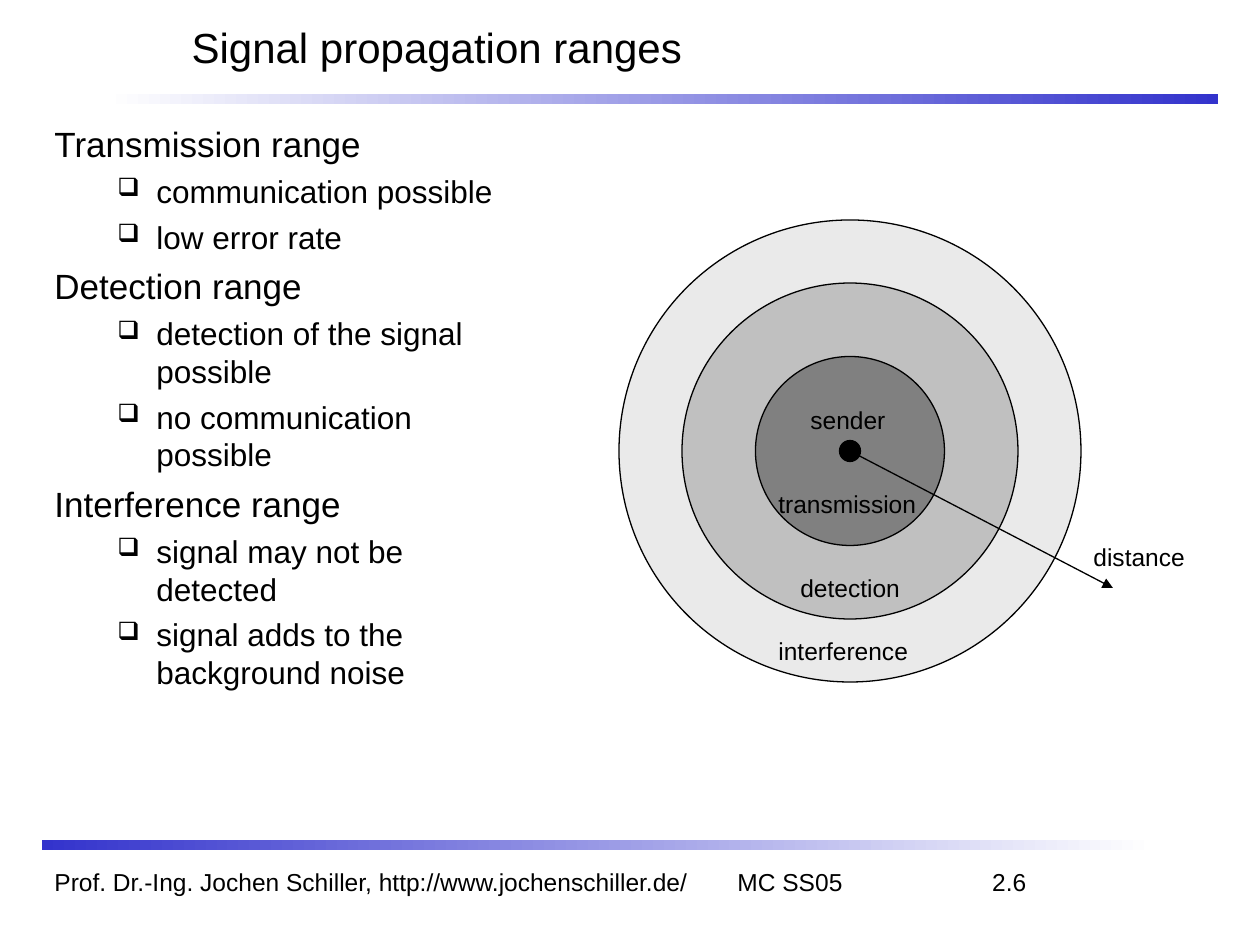
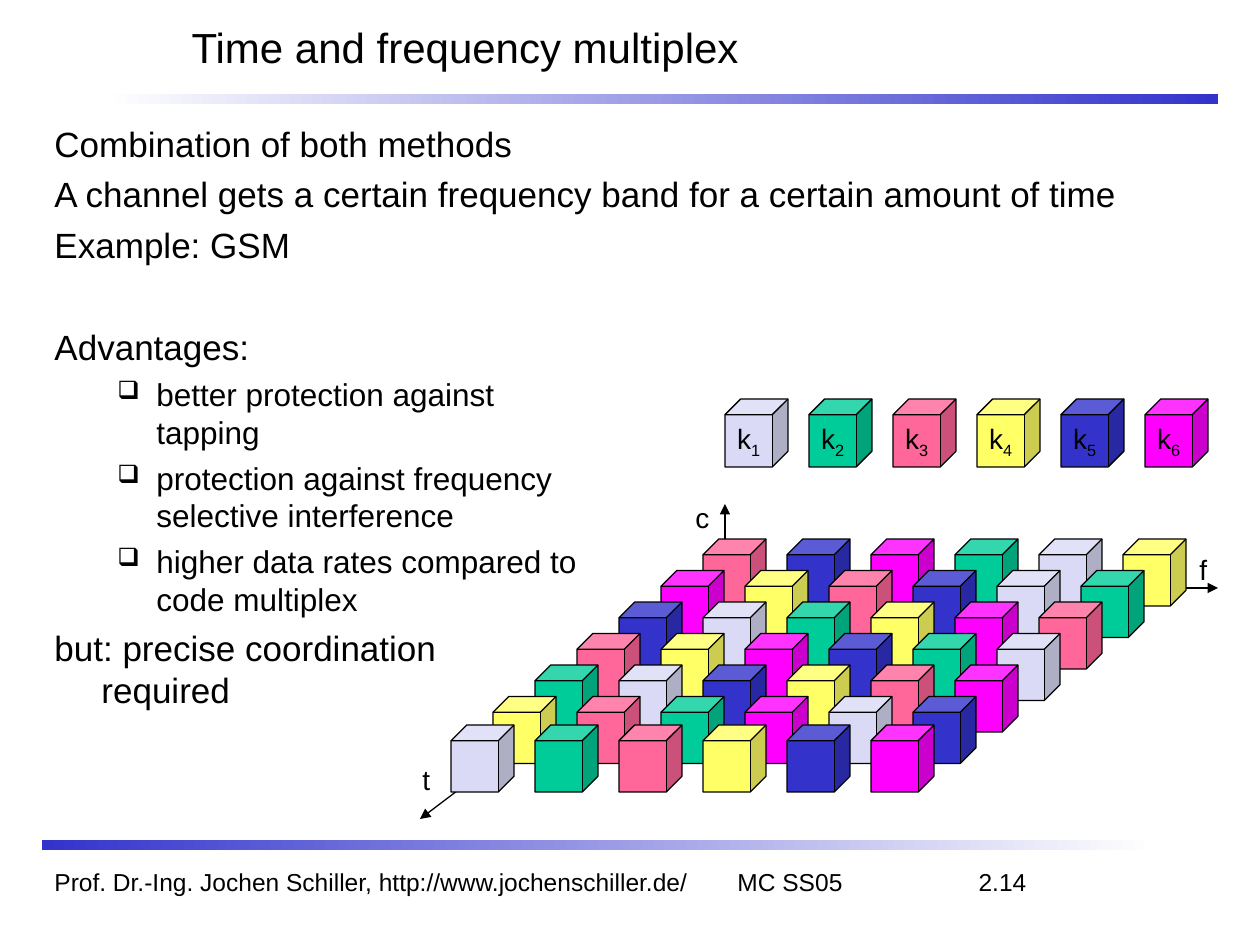
from lxml import etree
from pptx import Presentation
from pptx import util as u
from pptx.dml.color import RGBColor
from pptx.enum import shapes, text
from pptx.oxml.ns import qn

FONT = "Arial"
BLACK, WHITE, BLUE = "000000", "FFFFFF", "3333CC"
PX_PER_INCH = 126

FOOTER = "Prof. Dr.-Ing. Jochen Schiller, http://www.jochenschiller.de/\tMC SS05\t"
FOOTER_TABS = [(683, "l"), (972, "r")]
# left, top, colour at the left end, colour at the right end
BANDS = [(105, 94, WHITE, BLUE), (42, 840, BLUE, WHITE)]

# Body lines are (level, text) with an optional space before in points
RANGES = [
    (0, "Transmission range"),
    (1, "communication possible"),
    (1, "low error rate"),
    (0, "Detection range"),
    (1, "detection of the signal\vpossible"),
    (1, "no communication\vpossible"),
    (0, "Interference range"),
    (1, "signal may not be\vdetected"),
    (1, "signal adds to the\vbackground noise"),
]
MULTIPLEX = [
    (0, "Combination of both methods"),
    (0, "A channel gets a certain frequency band for a certain amount of time"),
    (0, "Example: GSM"),
    (0, "Advantages:", 34),
    (1, "better protection against\vtapping"),
    (1, "protection against frequency\vselective interference"),
    (1, "higher data rates compared to\vcode multiplex"),
    (0, "but: precise coordination\vrequired"),
]
# size, space before, left margin px, first-line indent px
LEVELS = [(20, 5, 47, -47), (18, 4.5, 102, -39)]

SENDER = (850, 451)
CIRCLES = [(462, "EAEAEA"), (336, "C0C0C0"), (189, "808080"), (21, BLACK)]
DISTANCE_TIP = (1113, 588)
RANGE_LABELS = [
    ("distance", 1081, 536, 118),
    ("sender", 798, 399, 100),
    ("transmission", 766, 483, 163),
    ("detection", 788, 567, 125),
    ("interference", 766, 630, 155),
]

CHANNEL_COLOURS = ["DADAF6", "00CC99", "FF6699", "FFFF66", BLUE, "FF00FF"]
# Channel number per frequency, one string per time slot, from back to front
TIME_SLOTS = ["356214", "643512", "512463", "346521", "215436", "432615", "123456"]
AXIS_ORIGIN = (725, 588)
AXIS_TIPS = [(1218, 588), (420, 819), (725, 504)]
AXIS_LABELS = [("f", 1187, 546, 33), ("t", 410, 756, 33), ("c", 683, 494, 39)]
CUBE_WIDTH, CUBE_PITCH = 63, 84


def px(value):
    return u.Emu(round(value * 914400 / PX_PER_INCH))


def colour(value):
    return RGBColor.from_string(value)


def style_runs(paragraph, size):
    for run in paragraph.runs:
        run.font.name = FONT
        run.font.size = u.Pt(size)
        run.font.color.rgb = colour(BLACK)


def add_child(parent, tag, **attributes):
    return etree.SubElement(parent, qn(tag), attributes)


def add_text(slide, content, left, top, width, height, size):
    box = slide.shapes.add_textbox(px(left), px(top), px(width), px(height))
    box.text_frame.text = content
    style_runs(box.text_frame.paragraphs[0], size)
    return box.text_frame


def add_label(slide, content, left, top, width, height, size):
    """Add one line of text in a box that grows with it and never wraps."""
    frame = add_text(slide, content, left, top, width, height, size)
    frame.word_wrap = False
    frame.auto_size = text.MSO_AUTO_SIZE.SHAPE_TO_FIT_TEXT


def add_solid(slide, kind, left, top, width, height, fill):
    shape = slide.shapes.add_shape(kind, px(left), px(top), px(width), px(height))
    shape.shadow.inherit = False
    shape.fill.solid()
    shape.fill.fore_color.rgb = colour(fill)
    shape.line.color.rgb = colour(BLACK)
    shape.line.width = u.Pt(0.75)
    return shape


def add_arrow(slide, start, tip):
    arrow = slide.shapes.add_connector(
        shapes.MSO_CONNECTOR.STRAIGHT, *map(px, start + tip))
    arrow.line.color.rgb = colour(BLACK)
    arrow.line.width = u.Pt(0.75)
    properties = arrow.element.spPr
    add_child(properties.find(qn("a:ln")), "a:tailEnd", type="triangle")
    add_child(properties, "a:effectLst")


def add_band(slide, left, top, left_colour, right_colour):
    band = slide.shapes.add_shape(
        shapes.MSO_SHAPE.RECTANGLE, px(left), px(top), px(1113), px(10))
    band.shadow.inherit = False
    band.line.fill.background()
    band.fill.gradient()
    band.fill.gradient_angle = 0
    for stop, value in zip(band.fill.gradient_stops, (left_colour, right_colour)):
        stop.color.rgb = colour(value)


def add_body(slide, lines):
    frame = slide.shapes.add_textbox(px(42), px(116), px(1176), px(714)).text_frame
    frame.word_wrap = True
    for index, (level, content, *gap) in enumerate(lines):
        paragraph = frame.add_paragraph() if index else frame.paragraphs[0]
        size, space, margin, indent = LEVELS[level]
        paragraph.text = content
        paragraph.level = level
        properties = paragraph._p.get_or_add_pPr()
        properties.set("marL", str(px(margin)))
        properties.set("indent", str(px(indent)))
        if level:
            add_child(add_child(properties, "a:buClr"), "a:srgbClr", val=BLACK)
            add_child(properties, "a:buSzPct", val="80000")
            add_child(properties, "a:buChar", char="❑")
        if index:
            paragraph.space_before = u.Pt(gap[0] if gap else space)
        style_runs(paragraph, size)


def add_slide(presentation, title, number, body):
    """Add a slide with its title, bands, footer and body text."""
    slide = presentation.slides.add_slide(presentation.slide_layouts[5])
    heading = slide.shapes.title
    heading.left, heading.top, heading.width, heading.height = map(
        px, (179, 0, 1061, 94))
    frame = heading.text_frame
    frame.text = title
    frame.auto_size = text.MSO_AUTO_SIZE.NONE
    frame.vertical_anchor = text.MSO_ANCHOR.MIDDLE
    frame.paragraphs[0].alignment = text.PP_ALIGN.LEFT
    style_runs(frame.paragraphs[0], 24)

    for band in BANDS:
        add_band(slide, *band)
    footer = add_text(slide, FOOTER + number, 42, 861, 1103, 42, 14)
    footer.word_wrap = True
    properties = footer.paragraphs[0]._p.get_or_add_pPr()
    tabs = add_child(properties, "a:tabLst")
    for position, alignment in FOOTER_TABS:
        add_child(tabs, "a:tab", pos=str(px(position)), algn=alignment)
    add_body(slide, body)
    return slide


def draw_ranges(slide):
    x, y = SENDER
    for diameter, fill in CIRCLES:
        add_solid(slide, shapes.MSO_SHAPE.OVAL, x - diameter / 2, y - diameter / 2,
                  diameter, diameter, fill)
    add_arrow(slide, SENDER, DISTANCE_TIP)
    for label, left, top, width in RANGE_LABELS:
        add_label(slide, label, left, top, width, 43, 14)


def add_cube(slide, left, top, height, channel):
    return add_solid(slide, shapes.MSO_SHAPE.CUBE, left, top, CUBE_WIDTH, height,
                     CHANNEL_COLOURS[channel - 1])


def draw_multiplex(slide):
    for tip in AXIS_TIPS:
        add_arrow(slide, AXIS_ORIGIN, tip)
    for row, channels in enumerate(TIME_SLOTS):
        top = min(539 + 31.5 * row, 725)
        for column, channel in enumerate(channels):
            left = 703 - CUBE_PITCH / 2 * row + CUBE_PITCH * column
            add_cube(slide, left, top, 67, int(channel))
    for label, left, top, width in AXIS_LABELS:
        add_label(slide, label, left, top, width, 47, 16)

    for channel in range(1, len(CHANNEL_COLOURS) + 1):
        cube = add_cube(slide, 725 + CUBE_PITCH * (channel - 1), 399, 68, channel)
        frame = cube.text_frame
        frame.word_wrap = False
        frame.vertical_anchor = text.MSO_ANCHOR.MIDDLE
        paragraph = frame.paragraphs[0]
        paragraph.text = "k"
        paragraph.alignment = text.PP_ALIGN.CENTER
        subscript = paragraph.add_run()
        subscript.text = str(channel)
        style_runs(paragraph, 16)
        subscript.font._element.set("baseline", "-25000")


def main():
    presentation = Presentation()
    presentation.slide_width, presentation.slide_height = u.Inches(10), u.Inches(7.5)
    draw_ranges(add_slide(presentation, "Signal propagation ranges", "2.6", RANGES))
    draw_multiplex(add_slide(
        presentation, "Time and frequency multiplex", "2.14", MULTIPLEX))
    presentation.save("out.pptx")


if __name__ == "__main__":
    main()
